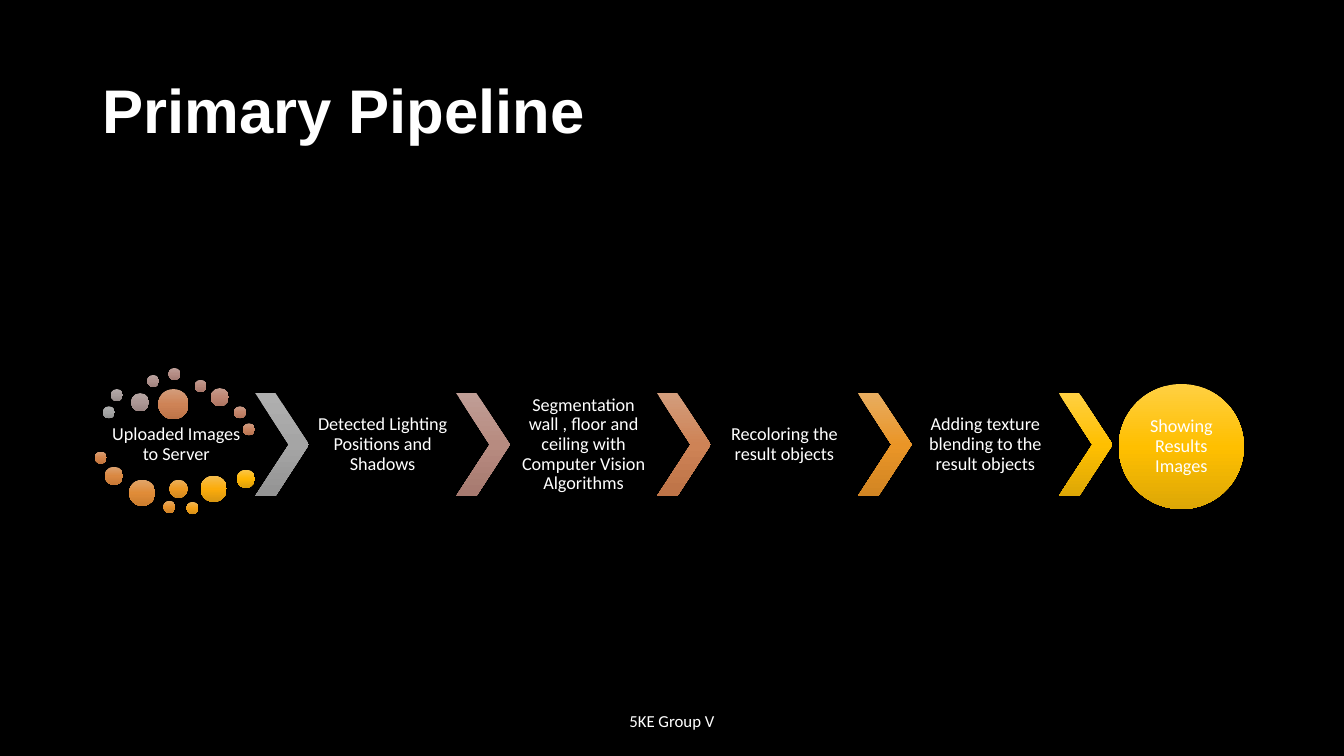
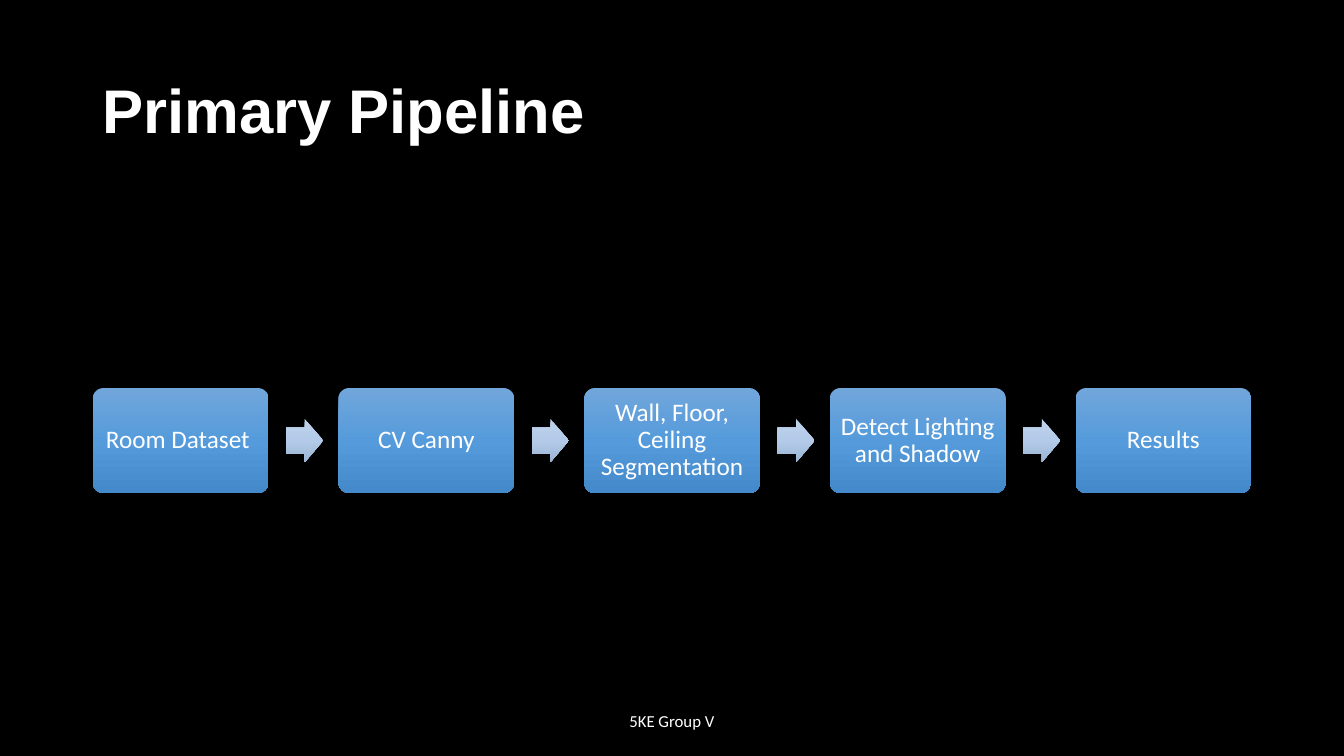
from colorsys import hls_to_rgb
from copy import deepcopy
from dataclasses import dataclass

from pptx import Presentation
from pptx.dml.color import RGBColor
from pptx.enum.shapes import MSO_SHAPE as Preset
from pptx.enum.text import MSO_ANCHOR as Anchor, MSO_AUTO_SIZE as AutoSize, PP_ALIGN as Align
from pptx.oxml.ns import qn
from pptx.util import Pt


@dataclass(frozen=True)
class Theme:
    background: str = "000000"
    text: str = "FFFFFF"
    heading_font: str = "Arial"
    body_font: str = "Calibri"
    title_size: float = 44
    box_size: float = 18
    step_size: float = 13
    footer_size: float = 12
    box_fill: tuple = ("71A6DB", "559BDB", "448ACA")
    arrow_fill: tuple = ("C0D2EB", "B3CBE9", "9BB4D3")
    # Grey-to-gold ramp: start lightness, end lightness, saturation gain per stop
    ramp: tuple = ((0.686, 0.63, 1), (0.647, 0.5, 1.1), (0.576, 0.445, 0.95))
    gold_hue: float = 45 / 360


THEME = Theme()
TITLE = "Primary Pipeline"
FOOTER = "5KE Group V"
STEPS = [
    "Uploaded Images to Server",
    "Detected Lighting Positions and Shadows",
    "Segmentation wall , floor and ceiling with Computer Vision Algorithms",
    "Recoloring the result objects",
    "Adding texture blending to the result objects",
]
OUTCOME = "Showing Results Images"
STAGES = ["Room Dataset ", "CV Canny", "Wall, Floor, Ceiling Segmentation",
          "Detect Lighting and Shadow", "Results"]

# Dots around the first step: left, top, diameter, relative to the cloud
SMALL, MEDIUM, LARGE, HUGE = 8.6, 13, 18.7, 21.6
DOTS = [
    (5.8, 27.4, SMALL), (11.5, 15.1, SMALL), (25.9, 18, MEDIUM),
    (37.4, 5, SMALL), (52.6, 0, SMALL), (71.3, 8.6, SMALL),
    (82.8, 14.4, MEDIUM), (99.4, 27.4, SMALL), (105.8, 39.6, SMALL),
    (45.4, 15.1, HUGE), (0, 59.8, SMALL), (7.2, 70.6, MEDIUM),
    (24.5, 79.9, LARGE), (49, 95, SMALL), (53.3, 79.9, MEDIUM),
    (65.5, 95.8, SMALL), (75.6, 77, LARGE), (101.5, 72.7, MEDIUM),
]


def points(*lengths):
    return [Pt(length) for length in lengths]


def assign(target, formats):
    for name, value in formats.items():
        setattr(target, name, value)


def write(shape, text, size, font=THEME.body_font, bold=False,
          align=Align.CENTER, spacing=0.9, inset=None):
    frame = shape.text_frame
    frame.text = text
    assign(frame, dict(word_wrap=True, auto_size=AutoSize.NONE,
                       vertical_anchor=Anchor.MIDDLE))
    if inset is not None:
        sides = ("left", "top", "right", "bottom")
        assign(frame, {f"margin_{side}": Pt(inset) for side in sides})
    paragraph = frame.paragraphs[0]
    assign(paragraph, dict(alignment=align, line_spacing=spacing))
    assign(paragraph.font, dict(name=font, size=Pt(size), bold=bold))
    paragraph.font.color.rgb = RGBColor.from_string(THEME.text)


def add_label(slide, box, text, size, **formats):
    write(slide.shapes.add_textbox(*points(*box)), text, size, **formats)


def add_gradient_shape(slide, preset, box, colors, adjustments=()):
    shape = slide.shapes.add_shape(preset, *points(*box))
    shape.shadow.inherit = False
    shape.line.fill.background()
    for index, value in enumerate(adjustments):
        shape.adjustments[index] = value
    # Vertical gradient with a third stop
    fill = shape.fill
    fill.gradient()
    fill.gradient_angle = 270
    stop_list = shape.element.spPr.find(qn("a:gradFill")).find(qn("a:gsLst"))
    stop_list.append(deepcopy(stop_list[0]))
    for stop, position, color in zip(fill.gradient_stops, (0, 0.5, 1), colors):
        stop.position = position
        stop.color.rgb = RGBColor.from_string(color)
    return shape


def ramp_colors(progress):
    """Three gradient colours at a point between grey (0) and gold (1)."""
    colors = []
    for start, end, gain in THEME.ramp:
        lightness = start + (end - start) * progress
        saturation = min(1, gain * progress)
        rgb = hls_to_rgb(THEME.gold_hue * progress, lightness, saturation)
        colors.append("".join(f"{round(part * 255):02X}" for part in rgb))
    return colors


def add_page(deck):
    slide = deck.slides.add_slide(deck.slide_layouts.get_by_name("Title Only"))
    title = slide.shapes.title
    assign(title, dict(zip(("left", "top", "width", "height"),
                           points(66, 28.75, 828, 104.4))))
    write(title, TITLE, THEME.title_size, font=THEME.heading_font, bold=True,
          align=Align.LEFT)
    add_label(slide, (318, 500.5, 324, 28.75), FOOTER, THEME.footer_size, spacing=1)
    return slide


def add_dot_cloud(slide, left, top):
    for index, (x, y, diameter) in enumerate(DOTS):
        add_gradient_shape(slide, Preset.OVAL, (left + x, top + y, diameter, diameter),
                           ramp_colors(index / len(DOTS)))


def add_step_flow(slide, left, top):
    """Dot cloud, steps split by chevrons, and the closing circle."""
    pitch, step_width, height, chevron_width = 143.5, 105, 73.6, 38.4
    chevron_left, chevron_top = left + 114.6, top + 18
    add_dot_cloud(slide, left, top)
    for index, step in enumerate(STEPS):
        x = chevron_left + index * pitch
        if index == 0:
            step_box = (left + 5.7, top + 37.4, step_width, 34.6)
        else:
            step_box = (x - step_width, chevron_top, step_width, height)
        add_label(slide, step_box, step, THEME.step_size, inset=1.3)
        add_gradient_shape(slide, Preset.CHEVRON,
                           (x, chevron_top, chevron_width, height),
                           ramp_colors(index / (len(STEPS) - 1)), [0.623])
    circle = add_gradient_shape(slide, Preset.OVAL,
                                (left + 731.5, top + 11.5, 89.3, 89.3), ramp_colors(1))
    write(circle, OUTCOME, THEME.step_size, inset=0)


def add_stage_flow(slide, left, top):
    """Rounded boxes joined by block arrows."""
    pitch, width, height = 175.5, 125.5, 75
    arrow_width, arrow_height = 26.6, 31
    for index, stage in enumerate(STAGES):
        x = left + index * pitch
        if index:
            arrow_box = (x - pitch + width * 1.1, top + (height - arrow_height) / 2,
                         arrow_width, arrow_height)
            add_gradient_shape(slide, Preset.RIGHT_ARROW, arrow_box,
                               THEME.arrow_fill, [0.6, 0.5])
        box = add_gradient_shape(slide, Preset.ROUNDED_RECTANGLE, (x, top, width, height),
                                 THEME.box_fill, [0.1])
        write(box, stage, THEME.box_size, inset=5)


def main():
    deck = Presentation()
    assign(deck, dict(slide_width=Pt(960), slide_height=Pt(540)))
    backdrop = deck.slide_master.background.fill
    backdrop.solid()
    backdrop.fore_color.rgb = RGBColor.from_string(THEME.background)
    add_step_flow(add_page(deck), 67.7, 262.8)
    add_stage_flow(add_page(deck), 66.3, 277.2)
    deck.save("out.pptx")


if __name__ == "__main__":
    main()
